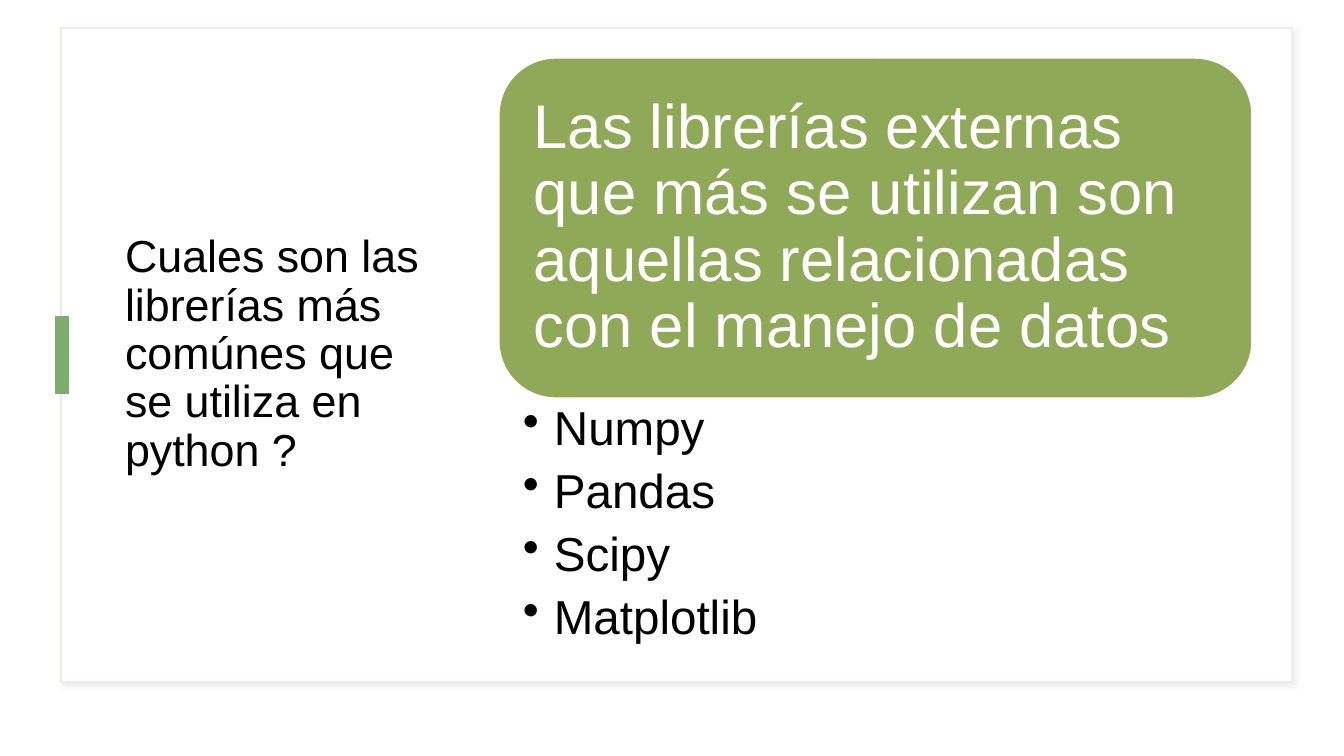
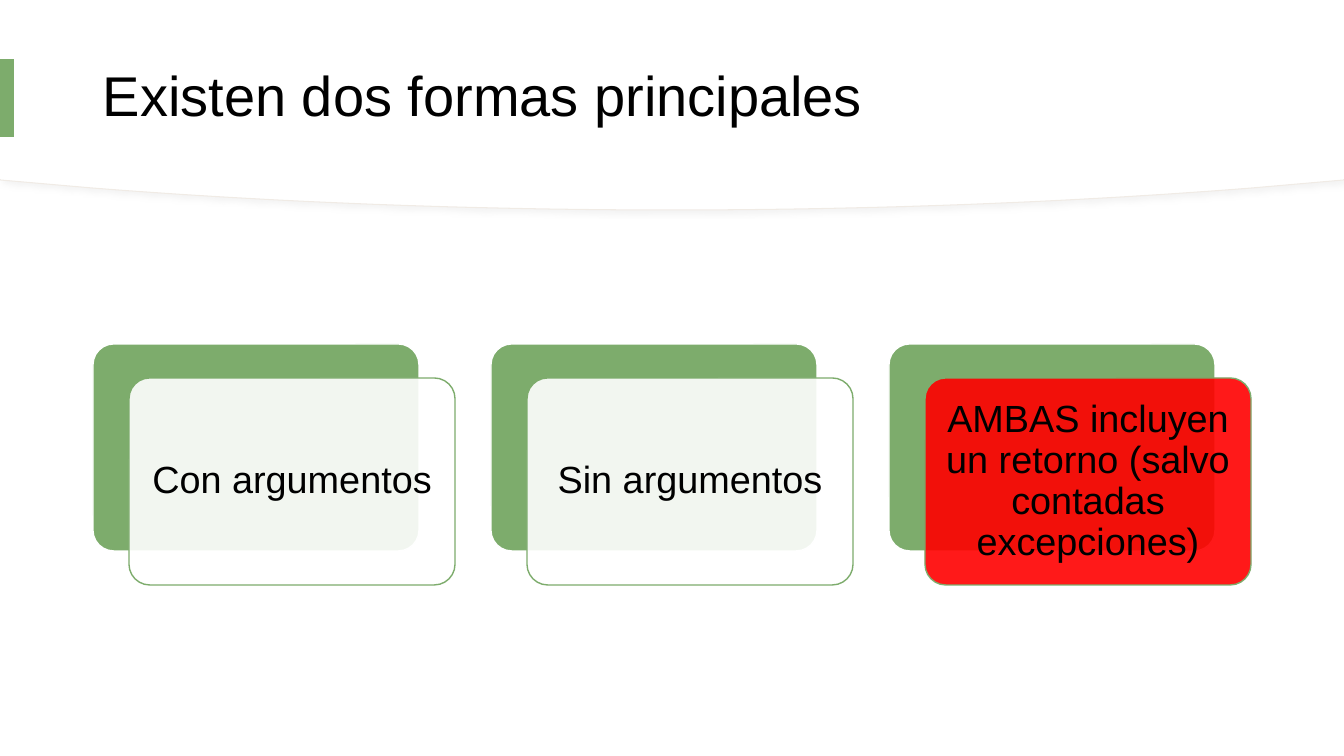
from lxml import etree
from pptx import Presentation
from pptx import util as u
from pptx.dml.color import RGBColor
from pptx.enum import shapes, text
from pptx.oxml import ns

PX = 914400 / 100.8
WIDTH, HEIGHT = 1344, 756
FONT = "Arial"
WHITE, BLACK, RED = "FFFFFF", "000000", "FF0000"
GREEN, OLIVE, BORDER = "7DAC6C", "8FA958", "F0EBE5"
RECT = shapes.MSO_SHAPE.RECTANGLE
ROUNDED = shapes.MSO_SHAPE.ROUNDED_RECTANGLE
LEFT, CENTER = text.PP_ALIGN.LEFT, text.PP_ALIGN.CENTER
MIDDLE, TOP = text.MSO_ANCHOR.MIDDLE, text.MSO_ANCHOR.TOP


def px(length):
    """Turn px into EMU."""
    return u.Emu(round(length * PX))


def rgb(color):
    """Turn a hex string into a colour."""
    return RGBColor.from_string(color)


def paint(shape, fill, line=None, width=1, alpha=None, shadow=None):
    """Set fill, outline, opacity in percent and shadow colour."""
    shape.fill.solid()
    shape.fill.fore_color.rgb = rgb(fill)
    if line:
        shape.line.color.rgb = rgb(line)
        shape.line.width = u.Pt(width)
    else:
        shape.line.fill.background()
    shape.shadow.inherit = False
    props = shape.element.spPr
    if alpha:
        color = props.find(ns.qn("a:solidFill"))[0]
        etree.SubElement(color, ns.qn("a:alpha"), val=str(alpha * 1000))
    if shadow:
        effects = props.find(ns.qn("a:effectLst"))
        outer = etree.SubElement(effects, ns.qn("a:outerShdw"), blurRad=str(u.Pt(4)),
                                 dist=str(u.Pt(3)), dir="2700000", rotWithShape="0")
        color = etree.SubElement(outer, ns.qn("a:srgbClr"), val=shadow)
        etree.SubElement(color, ns.qn("a:alpha"), val="30000")


def add_box(slide, kind, box, fill, **style):
    """Add a painted preset shape."""
    shape = slide.shapes.add_shape(kind, *map(px, box))
    paint(shape, fill, **style)
    return shape


def write(shape, lines, size, color=BLACK, align=LEFT, anchor=MIDDLE,
          insets=(10, 5, 10, 5), after=0):
    """Fill a shape with paragraphs of one style."""
    frame = shape.text_frame
    frame.text = "\n".join(lines)
    frame.word_wrap = True
    frame.auto_size = text.MSO_AUTO_SIZE.NONE
    frame.vertical_anchor = anchor
    (frame.margin_left, frame.margin_top,
     frame.margin_right, frame.margin_bottom) = map(px, insets)
    for paragraph in frame.paragraphs:
        paragraph.alignment = align
        paragraph.line_spacing = 0.9
        paragraph.space_before = u.Pt(0)
        paragraph.space_after = u.Pt(after)
        paragraph.font.name = FONT
        paragraph.font.size = u.Pt(size)
        paragraph.font.color.rgb = rgb(color)
    return frame.paragraphs


def add_title(slide, wording, box, size, marker_left):
    """Place the title in front, with a green marker at its mid height."""
    title = slide.shapes.title
    title.left, title.top, title.width, title.height = map(px, box)
    title.element.getparent().append(title.element)
    write(title, [wording], size)
    middle = box[1] + box[3] / 2
    add_box(slide, RECT, (marker_left, middle - 39, 14, 78), GREEN)


def add_library_list(slide, box, heading, libraries):
    """Add a rounded heading above a bulleted list."""
    left, top, width, height = box
    heading_height = 340
    banner = add_box(slide, ROUNDED, (left, top, width, heading_height), OLIVE, line=WHITE)
    write(banner, [heading], 44, WHITE, insets=(18, 18, 18, 18))
    names = slide.shapes.add_textbox(
        *map(px, (left, top + heading_height, width, height - heading_height)))
    for paragraph in write(names, libraries, 34, anchor=TOP, insets=(24, 6, 34, 6), after=8.4):
        props = paragraph._p.get_or_add_pPr()
        props.set("marL", str(px(31)))
        props.set("indent", str(-px(31)))
        etree.SubElement(props, ns.qn("a:buChar"), char="•")


def add_curved_band(slide, depth, **style):
    """Add a white band across the top with a sagging lower edge."""
    controls = [(92, depth - 22), (270, depth - 8), (467, depth), (WIDTH / 2, depth)]
    half = [(0, depth - 30)]
    steps = 30
    for step in range(steps + 1):
        t = step / steps
        weights = ((1 - t) ** 3, 3 * t * (1 - t) ** 2, 3 * t ** 2 * (1 - t), t ** 3)
        half.append(tuple(sum(w * point[axis] for w, point in zip(weights, controls))
                          for axis in (0, 1)))
    mirrored = [(WIDTH - x, y) for x, y in half[-2::-1]]
    outline = [(px(x), px(y)) for x, y in half + mirrored + [(WIDTH, 0)]]
    builder = slide.shapes.build_freeform(0, 0)
    builder.add_line_segments(outline, close=True)
    paint(builder.convert_to_shape(), WHITE, **style)


def add_stacked_card(slide, box, wording, fill):
    """Add a green plate with a translucent text card shifted over it."""
    left, top, width, height = box
    plate = add_box(slide, ROUNDED, box, GREEN, line=WHITE)
    card = add_box(slide, ROUNDED, (left + 36, top + 34, width, height), fill,
                   line=GREEN, alpha=90)
    for shape in (plate, card):
        shape.adjustments[0] = 0.1
    write(card, [wording], 27, align=CENTER, insets=(11, 11, 11, 11))


def build_libraries(slide):
    """Build the slide on common libraries."""
    add_box(slide, RECT, (61, 28, 1231, 654), WHITE, line=BORDER, shadow="C5BCCA")
    add_title(slide, "Cuales son las librerías más comúnes que se utiliza en python ?",
              (115, 55, 330, 600), 32, 55)
    add_library_list(slide, (499, 58, 753, 596),
                     "Las librerías externas que más se utilizan son aquellas "
                     "relacionadas con el manejo de datos",
                     ["Numpy", "Pandas", "Scipy", "Matplotlib"])


def build_forms(slide):
    """Build the slide on the two main forms."""
    add_curved_band(slide, 210, line=BORDER, width=0.75, shadow="D9D9D9")
    add_curved_band(slide, 209)
    add_title(slide, "Existen dos formas principales", (93, 28, 1159, 140), 40, 0)
    cards = [("Con argumentos", WHITE), ("Sin argumentos", WHITE),
             ("AMBAS incluyen un retorno (salvo contadas excepciones)", RED)]
    for column, (wording, fill) in enumerate(cards):
        add_stacked_card(slide, (93 + column * 398, 344, 326, 207), wording, fill)


def main():
    """Build and save the presentation."""
    deck = Presentation()
    deck.slide_width, deck.slide_height = px(WIDTH), px(HEIGHT)
    for build in (build_libraries, build_forms):
        build(deck.slides.add_slide(deck.slide_layouts[5]))
    deck.save("out.pptx")


if __name__ == "__main__":
    main()
